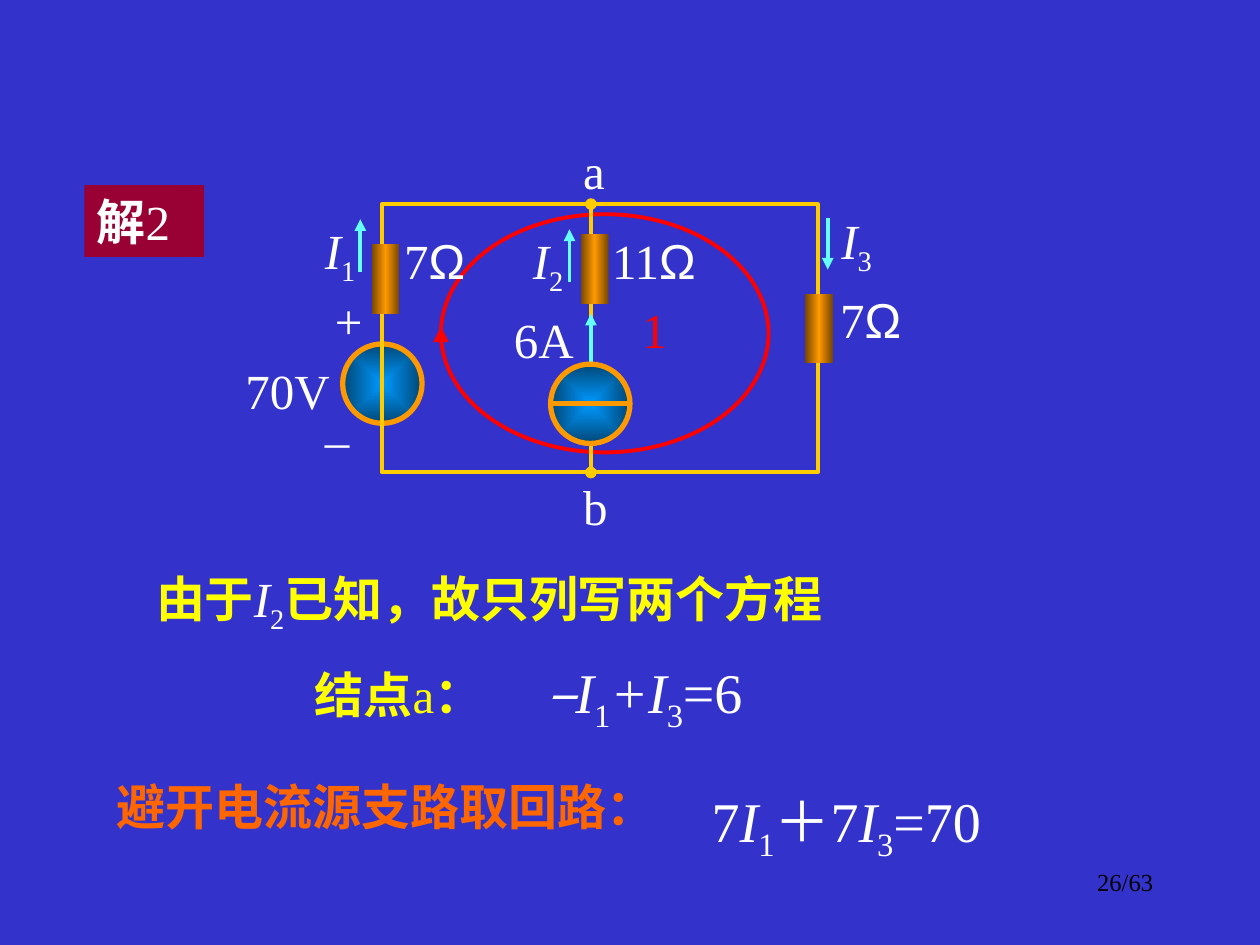
from lxml import etree
from pptx import Presentation
from pptx.dml.color import RGBColor
from pptx.enum.shapes import MSO_CONNECTOR as Link, MSO_SHAPE as Shape
from pptx.enum.text import MSO_ANCHOR as Anchor, PP_ALIGN as Align
from pptx.oxml import parse_xml
from pptx.oxml.ns import nsdecls, qn
from pptx.util import Inches, Pt

color = RGBColor.from_string
ROMAN, SANS, CHINESE = "Times New Roman", "Arial", "Noto Sans CJK SC"
WHITE, YELLOW, RED, CYAN = "FFFFFF", "FFFF00", "FF0000", "66FFFF"
GOLD, ORANGE = "FFCC00", "FF9900"


def write(para, text, size=28, font=ROMAN, hue=WHITE, bold=False, italic=False, sub=False):
    """Add one formatted span to a paragraph."""
    span = para.add_run()
    span.text = text
    span.font.size, span.font.name = Pt(size), font
    span.font.bold, span.font.italic = bold, italic
    span.font.color.rgb = color(hue)
    props = span._r.get_or_add_rPr()
    etree.SubElement(props, qn("a:ea")).set("typeface", CHINESE)
    if sub:
        props.set("baseline", "-25000")


def paint(shape, stops, direction):
    """Give a shape a gradient of (percent, colour) stops."""
    marks = "".join(f'<a:gs pos="{share * 1000}"><a:srgbClr val="{hue}"/></a:gs>'
                    for share, hue in stops)
    shape._element.spPr.insert(2, parse_xml(
        f'<a:gradFill {nsdecls("a")} rotWithShape="1"><a:gsLst>{marks}</a:gsLst>'
        f'{direction}</a:gradFill>'))


deck = Presentation()
deck.slide_width, deck.slide_height = Inches(10), Inches(7.5)
page = deck.slides.add_slide(deck.slide_layouts[6])
page.background.fill.solid()
page.background.fill.fore_color.rgb = color("3333CC")

# Grid of 100 columns by 75 rows
unit = deck.slide_width / 100

# Gradients of the sources and the resistors
BALL = ([(0, "0099FF"), (100, "004776")],
        '<a:path path="rect"><a:fillToRect l="50000" t="50000" r="50000" b="50000"/></a:path>')
TUBE = ([(0, "764700"), (50, ORANGE), (100, "764700")], '<a:lin ang="0" scaled="1"/>')

# Circuit, back to front
# shapes: left, top, width, height, gradient, line colour, line width
# lines: x1, y1, x2, y2, line end, colour, width
top, bottom, middle = 16.2, 37.5, 46.9
ball, tube = (6.3, 6.3), (2.2, 5.5)
parts = [
    (Shape.OVAL, (35, 17, 26, 18.9), None, RED, 2.25),
    (Link.STRAIGHT, (35, 26.9, 35, 25.9), "triangle", RED, 3),
    (Shape.OVAL, (27.2, 27.3, *ball), BALL, ORANGE, 3),
    (Link.STRAIGHT, (28.6, 21.6, 28.6, 17.4), "triangle", CYAN, 2.25),
    (Link.STRAIGHT, (65.7, 17.3, 65.7, 21.4), "triangle", CYAN, 2.25),
    (Link.STRAIGHT, (45.2, 22.4, 45.2, 18.2), "triangle", CYAN, 2.25),
    (Shape.RECTANGLE, (30.3, top, 34.6, bottom - top), None, GOLD, 2.25),
    (Link.STRAIGHT, (middle, top, middle, bottom), "oval", GOLD, 2.25),
    (Shape.RECTANGLE, (29.5, 19.4, *tube), TUBE, None, 0),
    (Shape.RECTANGLE, (46.1, 18.6, *tube), TUBE, None, 0),
    (Shape.RECTANGLE, (63.9, 23.3, *tube), TUBE, None, 0),
    (Link.STRAIGHT, (middle, 28.9, middle, 24.9), "triangle", CYAN, 2.25),
    (Shape.OVAL, (43.7, 28.9, *ball), BALL, ORANGE, 3),
    (Link.STRAIGHT, (43.7, 32, 50, 32), None, ORANGE, 3),
]
for kind, place, finish, hue, weight in parts:
    spot = [round(value * unit) for value in place]
    is_line = kind is Link.STRAIGHT
    if is_line:
        part = page.shapes.add_connector(kind, *spot)
        etree.SubElement(part._element.spPr, qn("a:effectLst"))
    else:
        part = page.shapes.add_shape(kind, *spot)
        part.shadow.inherit = False
        if finish:
            paint(part, *finish)
        else:
            part.fill.background()
    if hue:
        part.line.color.rgb = color(hue)
        part.line.width = Pt(weight)
    else:
        part.line.fill.background()
    if is_line and finish:
        edge = part._element.spPr.find(qn("a:ln"))
        if finish == "oval":
            etree.SubElement(edge, qn("a:headEnd")).set("type", finish)
        etree.SubElement(edge, qn("a:tailEnd")).set("type", finish)

# Solution label
label = page.shapes.add_shape(
    Shape.RECTANGLE, *[round(value * unit) for value in (6.7, 14.7, 9.5, 5.7)])
label.shadow.inherit = False
label.fill.solid()
label.fill.fore_color.rgb = color("990033")
label.line.fill.background()
label.text_frame.vertical_anchor = Anchor.TOP
heading = label.text_frame.paragraphs[0]
heading.alignment = Align.LEFT
write(heading, "解", bold=True)
write(heading, "2")

# Span formats
plain, slanted, lowered = {}, {"italic": True}, {"sub": True}
ohm = ("Ω", {"font": SANS})
big, big_slanted, big_lowered = [{**form, "size": 32} for form in (plain, slanted, lowered)]
chinese = {"font": CHINESE, "hue": YELLOW, "bold": True}
node = {"hue": YELLOW, "bold": True}

# Texts: left, top, width, height, then the spans
texts = [
    # circuit labels
    ((50, 23.3, 6.5, 5.7), [("1", {"hue": RED})]),
    ((18.5, 28.1, 9.4, 5.7), [("70V", plain)]),
    ((39.8, 24.1, 9.4, 5.7), [("6A", plain)]),
    ((25.6, 22.6, 3.7, 5.7), [("+", plain)]),
    ((24.8, 32, 3.9, 5.7), [("–", plain)]),
    ((45.3, 10.7, 3.7, 5.7), [("a", plain)]),
    ((45.3, 37.3, 3.9, 5.7), [("b", plain)]),
    ((31.1, 17.8, 10.2, 5.7), [("7", plain), ohm]),
    ((47.6, 17.8, 9.4, 5.7), [("11", plain), ohm]),
    ((65.7, 22.5, 13.3, 5.7), [("7", plain), ohm]),
    ((24.8, 17, 4.9, 6.3), [("I", slanted), ("1", lowered)]),
    ((41.3, 17.8, 4.9, 6.3), [("I", slanted), ("2", lowered)]),
    ((65.8, 16.2, 6.5, 6.3), [("I", slanted), ("3", lowered)]),
    # equations
    ((11.4, 44.6, 66.1, 6.3), [("由于", chinese), ("I", slanted), ("2", lowered),
                               ("已知，故只列写两个方程", chinese)]),
    ((24, 51.7, 39.2, 7.1), [("结点", node), ("a", {"hue": YELLOW}), ("：\t", node),
                             ("–I", big_slanted), ("1", big_lowered),
                             ("+I", big_slanted), ("3", big_lowered), ("=6", big)]),
    ((8.3, 61.1, 48, 5.7), [("避开电流源支路取回路：", {"hue": "FF6600", "bold": True})]),
    ((55.5, 61.9, 30.7, 7.1), [("7", big), ("I", big_slanted), ("1", big_lowered),
                               ("＋7", big), ("I", big_slanted), ("3", big_lowered),
                               ("=70", big)]),
    # page number
    ((71.7, 68.3, 20.8, 5), [("26/63", {"size": 14, "hue": "000000"})]),
]
for place, spans in texts:
    box = page.shapes.add_textbox(*[round(value * unit) for value in place])
    box.text_frame.word_wrap = True
    para = box.text_frame.paragraphs[0]
    if any("\t" in text for text, form in spans):
        stops = etree.SubElement(para._p.get_or_add_pPr(), qn("a:tabLst"))
        stop = etree.SubElement(stops, qn("a:tab"))
        stop.set("pos", str(round(18.3 * unit)))
        stop.set("algn", "l")
    for text, form in spans:
        write(para, text, **form)
# The page number comes last
para.alignment = Align.RIGHT

deck.save("out.pptx")
